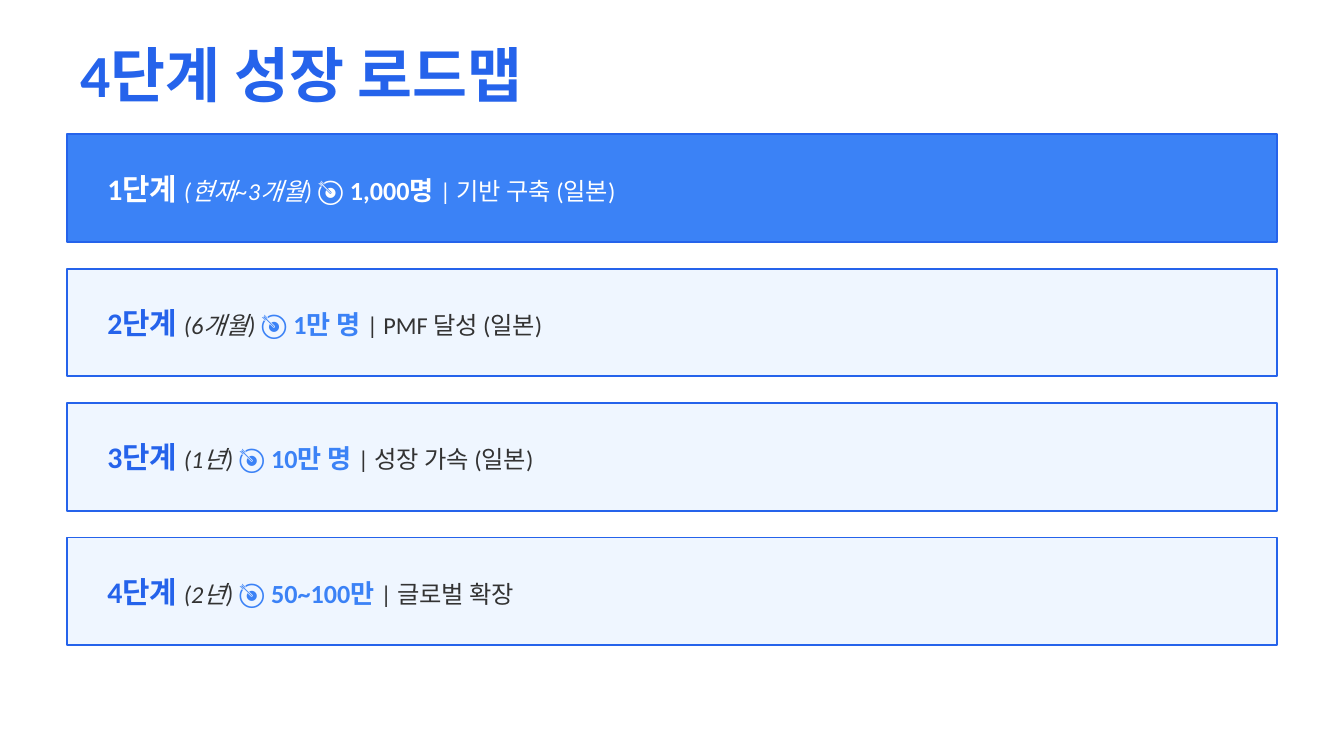
import pptx
import pptx.dml.color
import pptx.enum.shapes
import pptx.enum.text
import pptx.util

Inches = pptx.util.Inches

BLUE = "2563EB"
SKY = "3B82F6"
PALE = "EFF6FF"
DARK = "333333"
WHITE = "FFFFFF"

STAGES = [
    ("1단계", "(현재~3개월)", "1,000명", "기반 구축 (일본)"),
    ("2단계", "(6개월)", "1만 명", "PMF 달성 (일본)"),
    ("3단계", "(1년)", "10만 명", "성장 가속 (일본)"),
    ("4단계", "(2년)", "50~100만", "글로벌 확장"),
]


def color(code):
    return pptx.dml.color.RGBColor.from_string(code)


def write(line, text, size, fill, bold=False, italic=False):
    run = line.add_run()
    run.text = text
    font = run.font
    font.name = "Calibri"
    font.size = pptx.util.Pt(size)
    font.color.rgb = color(fill)
    font.bold = bold
    font.italic = italic


def add_line(slide, left, top, width, height):
    box = slide.shapes.add_textbox(
        Inches(left), Inches(top), Inches(width), Inches(height))
    frame = box.text_frame
    frame.word_wrap = True
    frame.vertical_anchor = pptx.enum.text.MSO_ANCHOR.MIDDLE
    return frame.paragraphs[0]


def add_bar(slide, top, fill):
    bar = slide.shapes.add_shape(
        pptx.enum.shapes.MSO_SHAPE.RECTANGLE,
        Inches(0.5), Inches(top), Inches(9), Inches(0.8))
    bar.shadow.inherit = False
    bar.fill.solid()
    bar.fill.fore_color.rgb = color(fill)
    bar.line.color.rgb = color(BLUE)
    bar.line.width = pptx.util.Pt(1)


def add_stage(slide, top, stage, active):
    name, period, goal, focus = stage
    if active:
        fill, head, body, accent = SKY, WHITE, WHITE, WHITE
    else:
        fill, head, body, accent = PALE, BLUE, DARK, SKY
    add_bar(slide, top, fill)
    line = add_line(slide, 0.7, top + 0.15, 8.6, 0.5)
    write(line, f"{name} ", size=16, fill=head, bold=True)
    write(line, f"{period} ", size=13, fill=body, italic=True)
    write(line, f"🎯 {goal} ", size=14, fill=accent, bold=True)
    write(line, f"| {focus}", size=13, fill=body)


def main():
    deck = pptx.Presentation()
    deck.slide_width = Inches(10)
    deck.slide_height = Inches(10) * 9 // 16
    slide = deck.slides.add_slide(deck.slide_layouts[6])
    title = add_line(slide, 0.5, 0.3, 9, 0.5)
    write(title, "4단계 성장 로드맵", size=32, fill=BLUE, bold=True)
    for row, stage in enumerate(STAGES):
        add_stage(slide, 1 + row, stage, active=row == 0)
    deck.save("out.pptx")


if __name__ == "__main__":
    main()
